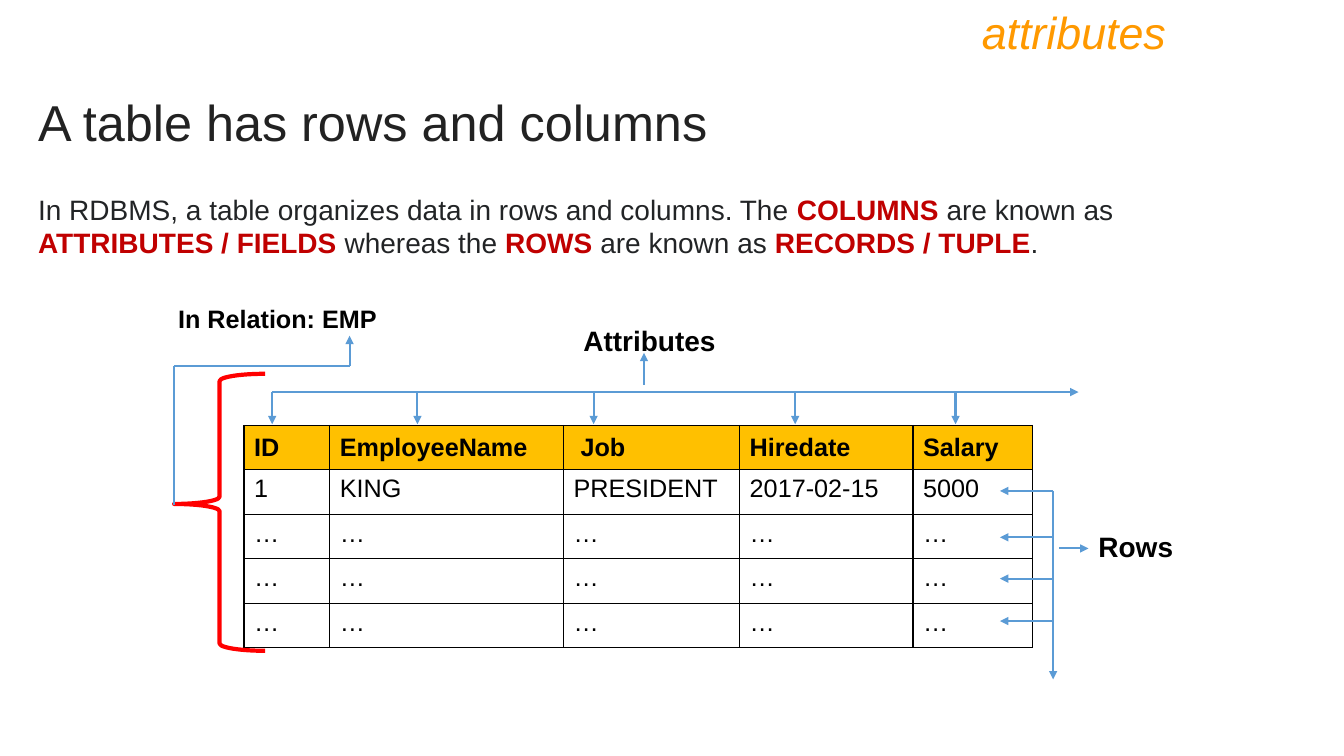
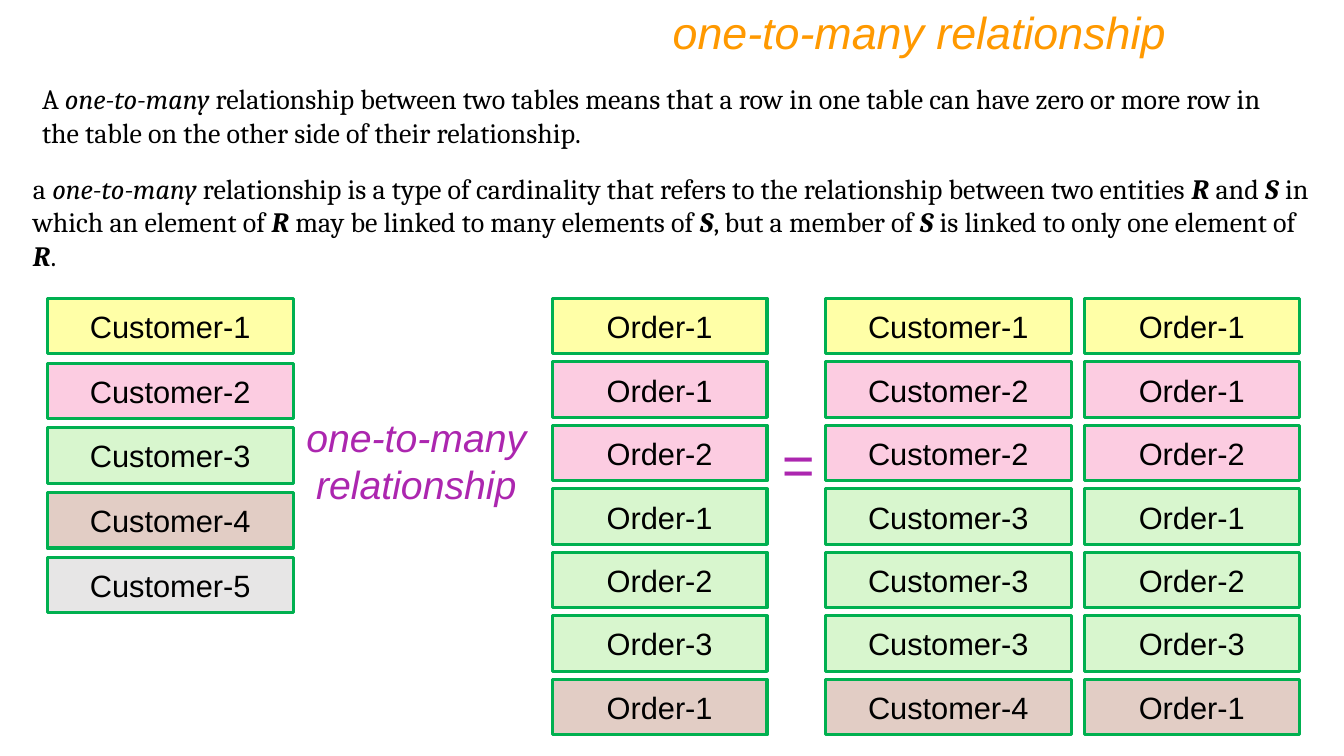
import dataclasses
import typing

import lxml.etree
import pptx
import pptx.dml.color
import pptx.enum.shapes
import pptx.enum.text
import pptx.oxml.ns
import pptx.util

Cm = pptx.util.Cm
Pt = pptx.util.Pt
qn = pptx.oxml.ns.qn
Align = pptx.enum.text.PP_ALIGN
Shapes = pptx.enum.shapes.MSO_SHAPE


# Theme: every colour, font and type size
@dataclasses.dataclass(frozen=True)
class Theme:
    sans: str = "Arial"
    serif: str = "Cambria"
    black: str = "000000"
    orange: str = "FF9900"
    title: str = "222222"
    body: str = "222426"
    accent: str = "C00000"
    purple: str = "AC26AF"
    arrow: str = "5B9BD5"
    brace: str = "FF0000"
    header: str = "FFC000"
    border: str = "00B050"
    yellow: str = "FFFFA7"
    pink: str = "FCCCE1"
    green: str = "D8F6CE"
    brown: str = "E2CDC5"
    grey: str = "E7E6E6"
    cell: int = 18
    text: int = 20
    card: int = 22
    join: int = 28
    topic: int = 32
    head: int = 36
    sign: int = 40


THEME = Theme()


# Repeated elements; lengths are centimetres
@dataclasses.dataclass(frozen=True)
class Font:
    size: int
    color: str = THEME.black
    face: str = THEME.sans
    bold: bool = False
    slant: bool = False


@dataclasses.dataclass(frozen=True)
class Box:
    left: float
    top: float
    width: float
    height: float

    def cm(self) -> tuple:
        return tuple(Cm(side) for side in dataclasses.astuple(self))


@dataclasses.dataclass(frozen=True)
class Line:
    x1: float
    y1: float
    x2: float
    y2: float
    arrow: bool = True


@dataclasses.dataclass(frozen=True)
class Stack:
    left: float
    width: float
    pitch: float
    word: str
    cards: tuple


Span = tuple[str, Font]


# Drawing helpers
def rgb(code: str) -> pptx.dml.color.RGBColor:
    return pptx.dml.color.RGBColor.from_string(code)


def style(run: typing.Any, font: Font) -> None:
    run.font.name = font.face
    run.font.size = Pt(font.size)
    run.font.bold = font.bold
    run.font.italic = font.slant
    run.font.color.rgb = rgb(font.color)


def write(frame: typing.Any, text: str, font: Font, align: typing.Any = Align.LEFT) -> None:
    frame.text = text
    para = frame.paragraphs[0]
    para.alignment = align
    for run in para.runs:
        style(run, font)


def frame(slide: typing.Any, box: Box) -> typing.Any:
    area = slide.shapes.add_textbox(*box.cm()).text_frame
    area.word_wrap = True
    return area


def label(slide: typing.Any, box: Box, text: str, font: Font, align: typing.Any = Align.LEFT) -> None:
    write(frame(slide, box), text, font, align)


def prose(slide: typing.Any, box: Box, spans: list[Span]) -> None:
    para = frame(slide, box).paragraphs[0]
    for text, font in spans:
        run = para.add_run()
        run.text = text
        style(run, font)


def topic(slide: typing.Any, text: str) -> None:
    font = Font(THEME.topic, THEME.orange, slant=True)
    label(slide, Box(4.24, 0, 25.4, 1.63), text, font, Align.RIGHT)


def draw(slide: typing.Any, line: Line) -> None:
    ends = (Cm(end) for end in (line.x1, line.y1, line.x2, line.y2))
    shape = slide.shapes.add_connector(pptx.enum.shapes.MSO_CONNECTOR.STRAIGHT, *ends)
    shape.line.color.rgb = rgb(THEME.arrow)
    shape.line.width = Pt(1.5)
    props = shape.element.spPr
    if line.arrow:
        lxml.etree.SubElement(props.find(qn("a:ln")), qn("a:tailEnd"), type="triangle")
    lxml.etree.SubElement(props, qn("a:effectLst"))


def edge(cell: typing.Any) -> None:
    props = cell._tc.get_or_add_tcPr()
    for spot, side in enumerate(("a:lnL", "a:lnR", "a:lnT", "a:lnB")):
        line = lxml.etree.Element(qn(side), w=str(Pt(1)))
        fill = lxml.etree.SubElement(line, qn("a:solidFill"))
        lxml.etree.SubElement(fill, qn("a:srgbClr"), val=THEME.black)
        props.insert(spot, line)


def grid(slide: typing.Any, box: Box, widths: list[float], rows: list[list[str]]) -> None:
    table = slide.shapes.add_table(len(rows), len(widths), *box.cm()).table
    table.first_row = table.horz_banding = False
    for col, width in zip(table.columns, widths):
        col.width = Cm(width)
    for i, row in enumerate(rows):
        for j, text in enumerate(row):
            cell = table.cell(i, j)
            write(cell.text_frame, text, Font(THEME.cell, bold=i == 0))
            if i == 0:
                cell.vertical_anchor = pptx.enum.text.MSO_ANCHOR.MIDDLE
                cell.fill.solid()
                cell.fill.fore_color.rgb = rgb(THEME.header)
            else:
                cell.fill.background()
            edge(cell)


def pile(slide: typing.Any, stack: Stack) -> None:
    for i, (mark, color) in enumerate(stack.cards):
        box = Box(stack.left, 7.52 + i * stack.pitch, stack.width, 1.4)
        card = slide.shapes.add_shape(Shapes.RECTANGLE, *box.cm())
        card.shadow.inherit = False
        card.fill.solid()
        card.fill.fore_color.rgb = rgb(color)
        card.line.color.rgb = rgb(THEME.border)
        card.line.width = Pt(2.25)
        write(card.text_frame, f"{stack.word}-{mark}", Font(THEME.card), Align.CENTER)


# Slide 1: rows and columns of a table
def fields(slide: typing.Any) -> None:
    label(slide, Box(0.71, 2.16, 24.56, 1.8), "A table has rows and columns",
          Font(THEME.head, THEME.title))
    topic(slide, "attributes")
    plain = Font(THEME.text, THEME.body)
    key = Font(THEME.text, THEME.accent, bold=True)
    prose(slide, Box(0.71, 4.72, 32, 1.96), [
        ("In RDBMS, a table organizes data in rows and columns. The ", plain),
        ("COLUMNS ", key), ("are known as ", plain),
        ("ATTRIBUTES / FIELDS ", key), ("whereas the ", plain),
        ("ROWS ", key), ("are known as ", plain),
        ("RECORDS / TUPLE", key), (".", plain),
    ])

    # Table
    widths = [2.16, 5.89, 4.44, 4.37, 3.02]
    rows = [
        ["ID", "EmployeeName", " Job", "Hiredate", "Salary"],
        ["1", "KING", "PRESIDENT", "2017-02-15", "5000"],
    ] + [["…"] * len(widths)] * 3
    grid(slide, Box(6.15, 10.72, sum(widths), 1.12 * len(rows)), widths, rows)

    # Names of the parts
    bold = Font(THEME.text, bold=True)
    label(slide, Box(14.45, 8.03, 3.89, 1.12), "Attributes", bold)
    label(slide, Box(27.43, 13.21, 2.6, 1.12), "Rows", bold)
    label(slide, Box(4.24, 7.52, 5.8, 1.02), "In Relation: EMP", Font(THEME.cell, bold=True))

    # Brace around the relation
    brace = slide.shapes.add_shape(Shapes.LEFT_BRACE, *Box(4.39, 9.42, 2.29, 6.98).cm())
    brace.shadow.inherit = False
    brace.adjustments[0] = 0.08
    brace.adjustments[1] = 0.47
    brace.fill.background()
    brace.line.color.rgb = rgb(THEME.brace)
    brace.line.width = Pt(3)

    # Lines to the relation, the rows and the attributes
    lines = [
        Line(4.39, 12.73, 4.39, 9.22, False),
        Line(8.81, 9.22, 4.39, 9.22, False),
        Line(8.81, 9.22, 8.81, 8.46),
        Line(26.7, 13.82, 27.43, 13.82),
        Line(26.54, 12.37, 26.54, 17.12),
        Line(16.23, 9.7, 16.23, 8.89),
        Line(6.86, 9.88, 27.18, 9.88),
    ]
    lines += [Line(26.54, y, 25.2, y) for y in (12.37, 13.54, 14.58, 15.65)]
    lines += [Line(x, 9.88, x, 10.69) for x in (6.86, 10.52, 14.96, 20.04, 24.08)]
    for line in lines:
        draw(slide, line)


# Slide 2: customers joined with their orders
def links(slide: typing.Any) -> None:
    topic(slide, "one-to-many relationship")
    plain = Font(THEME.text, face=THEME.serif)
    term = dataclasses.replace(plain, slant=True)
    name = dataclasses.replace(term, bold=True)
    prose(slide, Box(0.81, 1.93, 31.52, 1.96), [
        ("A ", plain), ("one-to-many", term),
        (" relationship between two tables means that a row in one table can have zero"
         " or more row in the table on the other side of their relationship.", plain),
    ])
    prose(slide, Box(0.58, 4.19, 32.72, 2.82), [
        ("a ", plain), ("one-to-many", term),
        (" relationship is a type of cardinality that refers to the relationship"
         " between two entities ", plain),
        ("R", name), (" and ", plain),
        ("S", name), (" in which an element of ", plain),
        ("R", name), (" may be linked to many elements of ", plain),
        ("S", name), (", but a member of ", plain),
        ("S", name), (" is linked to only one element of ", plain),
        ("R", name), (".", plain),
    ])

    # Card stacks: each owner colour repeats once per order
    hues = (THEME.yellow, THEME.pink, THEME.green, THEME.brown, THEME.grey)
    counts = (1, 2, 3, 1, 0)
    people = tuple(enumerate(hues, 1))
    pairs = [(who, hue, n) for (who, hue), count in zip(people, counts)
             for n in range(1, count + 1)]
    owners = tuple((who, hue) for who, hue, _ in pairs)
    orders = tuple((n, hue) for _, hue, n in pairs)
    for stack in (
        Stack(1.19, 6.2, 1.63, "Customer", people),
        Stack(13.92, 5.41, 1.6, "Order", orders),
        Stack(20.8, 6.2, 1.6, "Customer", owners),
        Stack(27.33, 5.41, 1.6, "Order", orders),
    ):
        pile(slide, stack)

    # Signs between the stacks
    label(slide, Box(7.39, 10.29, 6.2, 2.64), "one-to-many relationship",
          Font(THEME.join, THEME.purple, slant=True), Align.CENTER)
    label(slide, Box(19.41, 10.69, 1.4, 1.96), "=",
          Font(THEME.sign, THEME.purple, slant=True), Align.CENTER)


def main() -> None:
    deck = pptx.Presentation()
    deck.slide_width, deck.slide_height = Cm(33.87), Cm(19.05)
    for build in (fields, links):
        build(deck.slides.add_slide(deck.slide_layouts[6]))
    deck.save("out.pptx")


if __name__ == "__main__":
    main()
